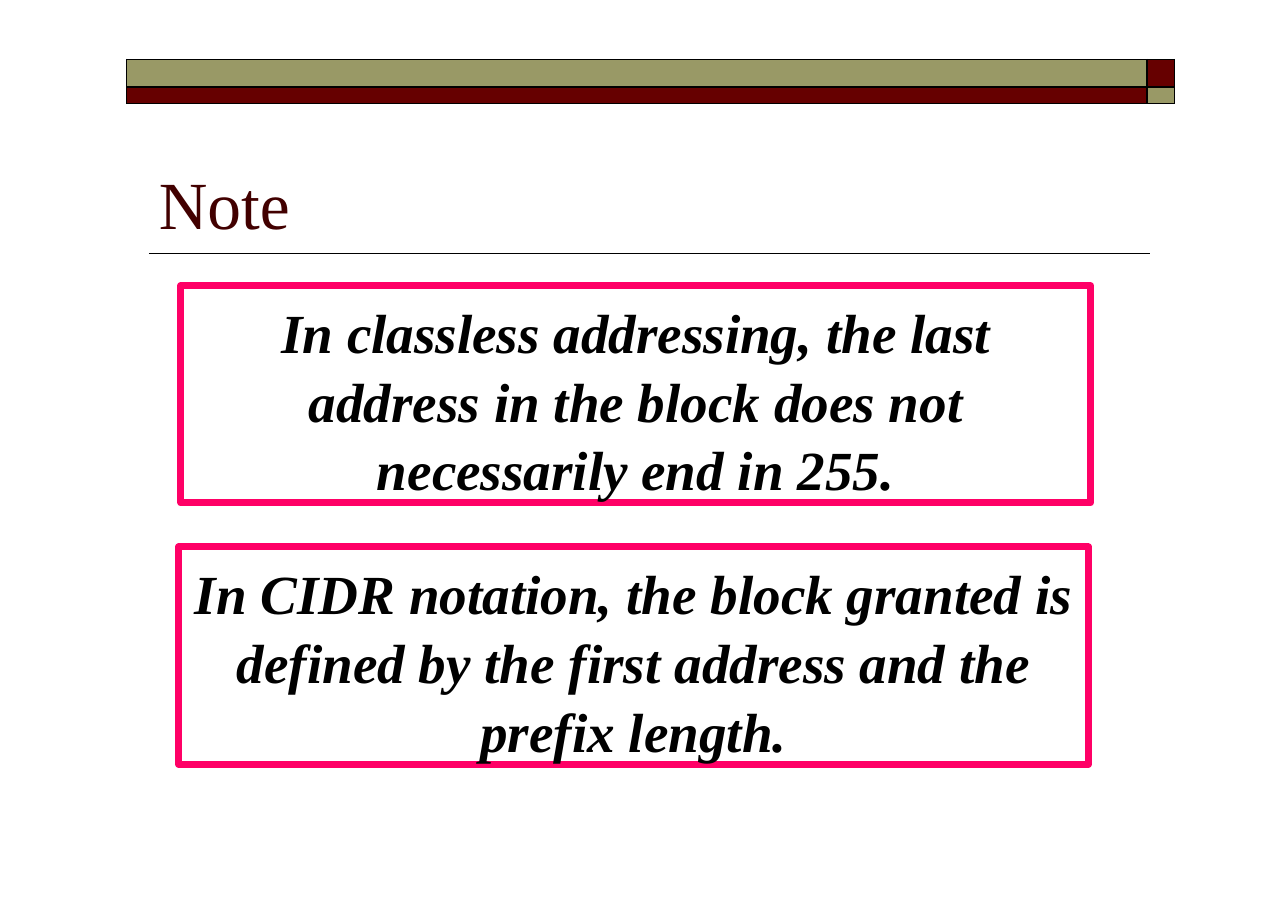
from lxml.etree import SubElement as Sub
from pptx import Presentation
from pptx.dml.color import RGBColor
from pptx.enum.shapes import MSO_CONNECTOR as Conn, MSO_SHAPE as Shape
from pptx.enum.text import MSO_ANCHOR as Anchor, PP_ALIGN as Align
from pptx.oxml.ns import qn
from pptx.util import Pt

SCALE = 9144  # EMU in one px, 100 px to the inch
FACE = "Times New Roman"
OLIVE, MAROON, PINK, BLACK = "999966", "660000", "FF0066", "000000"


def px(*vals):
    return [val * SCALE for val in vals]


def hue(code):
    return RGBColor.from_string(code)


def inset(frame, side, top):
    frame.margin_left, frame.margin_right, frame.margin_top = px(side, side, top)
    frame.margin_bottom = 0
    frame.word_wrap = True
    frame.vertical_anchor = Anchor.TOP


def style(para, size, code, align, strong=False):
    para.alignment = align
    font = para.font
    font.name, font.size = FACE, Pt(size)
    font.bold = font.italic = strong
    font.color.rgb = hue(code)


def edge(cell, side, width):
    line = Sub(cell._tc.get_or_add_tcPr(), qn(f"a:ln{side}"), w=str(Pt(width)))
    fill = Sub(line, qn("a:solidFill"))
    Sub(fill, qn("a:srgbClr"), val=BLACK)


# Two-tone band across the top
def band(slide, left, top, wide, high):
    end, low = 25, 15
    table = slide.shapes.add_table(2, 2, *px(left, top, wide, high)).table
    table.first_row = table.horz_banding = False
    for col, size in zip(table.columns, px(wide - end, end)):
        col.width = size
    for row, size in zip(table.rows, px(high - low, low)):
        row.height = size
    for r in range(2):
        for c in range(2):
            cell = table.cell(r, c)
            cell.margin_left = cell.margin_right = 0
            cell.margin_top = cell.margin_bottom = 0
            cell.text_frame.paragraphs[0].font.size = Pt(1)
            seam = {"L": c == 1, "R": c == 0}
            for side in "LRTB":
                edge(cell, side, 1.5 if seam.get(side) else 1)
            cell.fill.solid()
            cell.fill.fore_color.rgb = hue(MAROON if r != c else OLIVE)
    # Matching colours lie on the diagonal


# Title with the rule under it
def head(slide, text, left, top, wide, high):
    title = slide.shapes.title
    title.left, title.top, title.width, title.height = px(left, top, wide, high)
    frame = title.text_frame
    frame.text = text
    inset(frame, 1, 7)
    style(frame.paragraphs[0], 44, "420000", Align.LEFT)
    start, y = left - 8, top + 90
    rule = slide.shapes.add_connector(Conn.STRAIGHT, *px(start, y, start + 908, y))
    rule.line.color.rgb = hue(BLACK)
    rule.line.width = Pt(1)
    Sub(rule._element.spPr, qn("a:effectLst"))


# Framed statement
def note(slide, text, side, left, top, wide, high):
    box = slide.shapes.add_shape(Shape.RECTANGLE, *px(left, top, wide, high))
    box.shadow.inherit = False
    box.fill.background()
    box.line.color.rgb = hue(PINK)
    box.line.width = Pt(4.56)
    frame = box.text_frame
    frame.text = text
    inset(frame, side, 9)
    para = frame.paragraphs[0]
    para.line_spacing = 1.04
    style(para, 36, BLACK, Align.CENTER, True)


def main():
    deck = Presentation()
    deck.slide_width, deck.slide_height = px(1168, 826)
    slide = deck.slides.add_slide(deck.slide_layouts[5])
    band(slide, 115, 54, 950, 40)
    head(slide, "Note", 143, 140, 122, 76)
    note(slide, "In classless addressing, the last address in the block "
         "does not necessarily end in 255.", 70, 164, 259, 825, 197)
    note(slide, "In CIDR notation, the block granted is defined by the first "
         "address and the prefix length.", 5, 162, 496, 825, 197)
    deck.save("out.pptx")


if __name__ == "__main__":
    main()
